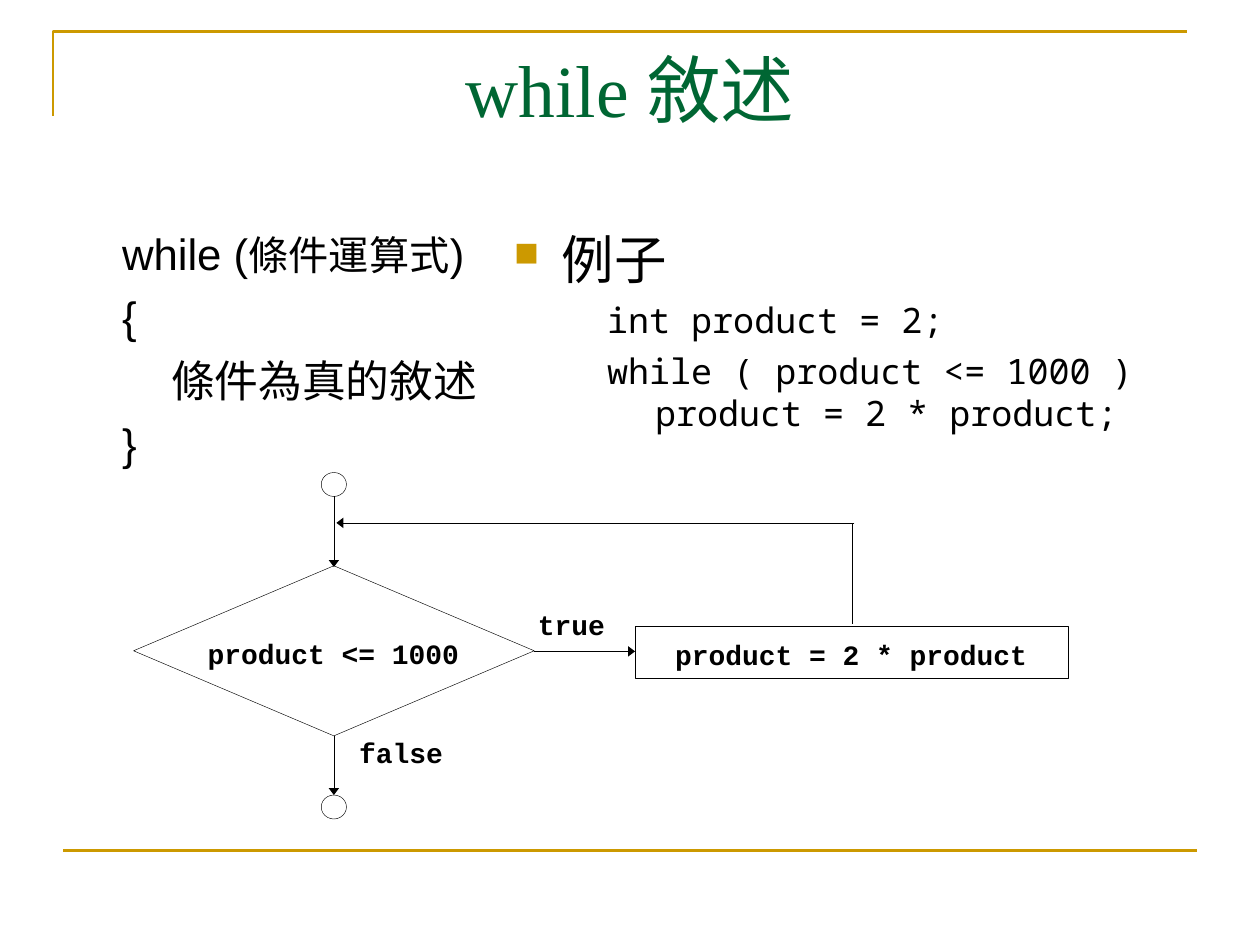
from dataclasses import dataclass

from lxml.etree import SubElement
from pptx import Presentation
from pptx.dml.color import RGBColor
from pptx.enum.shapes import MSO_CONNECTOR, MSO_SHAPE
from pptx.enum.text import MSO_ANCHOR, PP_ALIGN
from pptx.oxml.ns import qn
from pptx.util import Inches, Pt


@dataclass(frozen=True)
class Theme:
    gold: RGBColor = RGBColor(0xCC, 0x99, 0x00)
    green: RGBColor = RGBColor(0x00, 0x66, 0x33)
    ink: RGBColor = RGBColor(0, 0, 0)
    paper: RGBColor = RGBColor(0xFF, 0xFF, 0xFF)
    title_font: str = "Times New Roman"
    body_font: str = "Arial"
    code_font: str = "Noto Sans Mono"
    label_font: str = "Courier New"
    title_size: float = 42
    heading_size: float = 30
    syntax_size: float = 25
    condition_size: float = 23
    code_size: float = 20
    label_size: float = 16
    frame_line: float = 1.5
    flow_line: float = 0.25


class Page:
    def __init__(self, deck, theme):
        self.theme = theme
        self.slide = deck.slides.add_slide(deck.slide_layouts[5])
        self.shapes = self.slide.shapes

    def format_spans(self, para, font, size, color=None, bold=False):
        for span in para.runs:
            span.font.name = font
            span.font.size = Pt(size)
            span.font.bold = bold
            span.font.color.rgb = color or self.theme.ink

    def title(self, text, left, top, width, height):
        box = self.shapes.title
        box.left, box.top = Inches(left), Inches(top)
        box.width, box.height = Inches(width), Inches(height)
        frame = box.text_frame
        frame.text = text
        frame.vertical_anchor = MSO_ANCHOR.TOP
        para = frame.paragraphs[0]
        para.alignment = PP_ALIGN.CENTER
        self.format_spans(para, self.theme.title_font, self.theme.title_size, self.theme.green)

    def text_frame(self, left, top, width, height, margins=(0.1, 0.05)):
        box = self.shapes.add_textbox(Inches(left), Inches(top), Inches(width), Inches(height))
        frame = box.text_frame
        frame.word_wrap = True
        frame.margin_left = frame.margin_right = Inches(margins[0])
        frame.margin_top = frame.margin_bottom = Inches(margins[1])
        return frame

    def paragraph(self, frame, text, font, size, margin, indent=0, before=0):
        first = frame.paragraphs[0]
        para = frame.add_paragraph() if first.runs else first
        para.text = text
        para.space_before = Pt(before)
        properties = para._p.get_or_add_pPr()
        properties.set("marL", str(Inches(margin)))
        properties.set("indent", str(Inches(indent)))
        self.format_spans(para, font, size)
        return para

    def bullet(self, para, color, percent):
        properties = para._p.get_or_add_pPr()
        fill = SubElement(properties, qn("a:buClr"))
        SubElement(fill, qn("a:srgbClr"), val=str(color))
        SubElement(properties, qn("a:buSzPct"), val=str(percent * 1000))
        SubElement(properties, qn("a:buChar"), char="■")

    def label(self, text, left, top, width, height, align=PP_ALIGN.LEFT):
        frame = self.text_frame(left, top, width, height, (0, 0))
        frame.text = text
        para = frame.paragraphs[0]
        para.alignment = align
        self.format_spans(para, self.theme.label_font, self.theme.label_size, bold=True)

    def node(self, kind, left, top, width, height, fill=None):
        shape = self.shapes.add_shape(kind, Inches(left), Inches(top), Inches(width), Inches(height))
        shape.shadow.inherit = False
        if fill is None:
            shape.fill.background()
        else:
            shape.fill.solid()
            shape.fill.fore_color.rgb = fill
        shape.line.color.rgb = self.theme.ink
        shape.line.width = Pt(self.theme.flow_line)

    def line(self, start, end, color, width, arrow=False):
        points = [Inches(value) for value in (*start, *end)]
        connector = self.shapes.add_connector(MSO_CONNECTOR.STRAIGHT, *points)
        connector.line.color.rgb = color
        connector.line.width = Pt(width)
        if arrow:
            outline = connector.line._get_or_add_ln()
            SubElement(outline, qn("a:tailEnd"), type="triangle", w="med", len="sm")
        SubElement(connector._element.spPr, qn("a:effectLst"))

    def flow(self, start, end, arrow=True):
        self.line(start, end, self.theme.ink, self.theme.flow_line, arrow)

    def corner(self, start, *points):
        builder = self.shapes.build_freeform(Inches(start[0]), Inches(start[1]), scale=1.0)
        builder.add_line_segments([(Inches(x), Inches(y)) for x, y in points], close=False)
        shape = builder.convert_to_shape()
        shape.shadow.inherit = False
        shape.fill.background()
        shape.line.color.rgb = self.theme.gold
        shape.line.width = Pt(self.theme.frame_line)


def add_syntax(page):
    theme = page.theme
    frame = page.text_frame(0.5, 1.75, 4.42, 4.95)
    header = page.paragraph(frame, "while (", theme.body_font, theme.syntax_size, 0.73, -0.36)
    for text in ("條件運算式", ")"):
        header.add_run().text = text
    page.format_spans(header, theme.body_font, theme.syntax_size)
    header.runs[1].font.size = Pt(theme.condition_size)
    for text, margin, indent in (("{", 0.73, -0.36), ("條件為真的敘述", 0.76, 0), ("}", 0.73, -0.36)):
        page.paragraph(frame, text, theme.body_font, theme.syntax_size, margin, indent, 6.2)


def add_example(page):
    theme = page.theme
    frame = page.text_frame(3.98, 1.75, 5.52, 4.95)
    heading = page.paragraph(frame, "例子", theme.body_font, theme.heading_size, 0.38, -0.38)
    page.bullet(heading, theme.gold, 65)
    for text in ("int product = 2;", "while ( product <= 1000 )\vproduct = 2 * product;"):
        page.paragraph(frame, text, theme.code_font, theme.code_size, 1.12, -0.38, 5)


def add_flowchart(page):
    center = 2.65
    page.node(MSO_SHAPE.DIAMOND, 1.06, 4.49, 3.18, 1.35, page.theme.paper)
    page.node(MSO_SHAPE.RECTANGLE, 5.04, 4.97, 3.44, 0.41)
    for top in (3.75, 6.31):
        page.node(MSO_SHAPE.OVAL, center - 0.1, top, 0.2, 0.19)

    page.flow((center, 3.94), (center, 4.5))
    page.flow((center, 5.84), (center, 6.31))
    page.flow((4.24, 5.17), (5.04, 5.17))
    page.flow((6.76, 4.95), (6.76, 4.15), arrow=False)
    page.flow((6.78, 4.15), (2.67, 4.15))

    page.label("product <= 1000", 1.44, 5.05, 2.41, 0.29, PP_ALIGN.CENTER)
    page.label("product = 2 * product", 5.1, 5.06, 3.31, 0.31, PP_ALIGN.CENTER)
    page.label("true", 4.27, 4.82, 0.7, 0.37)
    page.label("false", 2.85, 5.84, 0.86, 0.37)


def main():
    deck = Presentation()
    deck.slide_width, deck.slide_height = Inches(10), Inches(7.5)
    theme = Theme()
    page = Page(deck, theme)
    page.corner((0.42, 0.92), (0.42, 0.25), (9.42, 0.25))
    page.line((0.5, 6.75), (9.5, 6.75), theme.gold, theme.frame_line)
    page.title("while 敘述", 0.5, 0.3, 9, 1.25)
    add_syntax(page)
    add_example(page)
    add_flowchart(page)
    deck.save("out.pptx")


if __name__ == "__main__":
    main()
